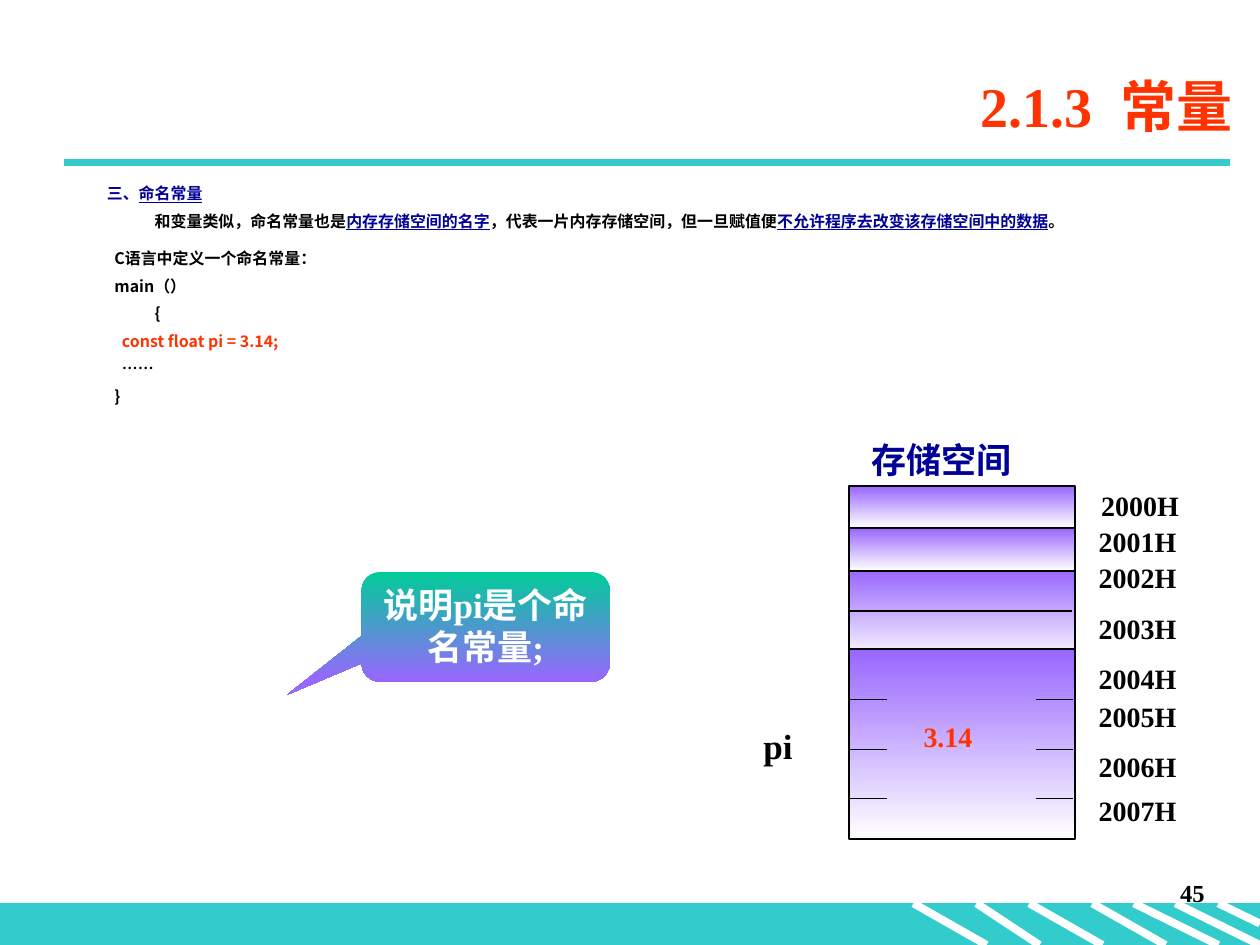
from lxml.etree import SubElement
from pptx import Presentation
from pptx.dml.color import RGBColor
from pptx.enum.shapes import MSO_CONNECTOR as CONN, MSO_SHAPE as SHAPE
from pptx.enum.text import MSO_ANCHOR as ANCHOR, PP_ALIGN as ALIGN
from pptx.oxml.ns import qn
from pptx.util import Inches, Pt

rgb = RGBColor.from_string
SERIF, SANS = "Times New Roman", "Noto Sans CJK SC"
TEAL, NAVY, RED = "33CCCC", "000099", "FF3300"
BLACK, WHITE, VIOLET, GREEN = "000000", "FFFFFF", "9966FF", "00CC99"

prs = Presentation()
prs.slide_width, prs.slide_height = Inches(10), Inches(7.5)
U = prs.slide_width // 100  # grid of 100 columns by 75 rows
s = prs.slides.add_slide(prs.slide_layouts[6])


def line(x1, y1, x2, y2, color, width):
    c = s.shapes.add_connector(CONN.STRAIGHT, *(int(v * U) for v in (x1, y1, x2, y2)))
    c.line.color.rgb = rgb(color)
    c.line.width = Pt(width)
    SubElement(c._element.spPr, qn("a:effectLst"))


def write(p, text, size, color, font=SERIF, underline=None):
    """Add one bold run to paragraph p."""
    r = p.add_run()
    r.text = text
    r.font.color.rgb = rgb(color)
    for name, value in dict(name=font, size=Pt(size), bold=True, underline=underline).items():
        setattr(r.font, name, value)
    SubElement(r._r.get_or_add_rPr(), qn("a:ea"), typeface=SANS)


# Footer band with slanted stripes, and the rule under the title
band = s.shapes.add_shape(SHAPE.RECTANGLE, 0, int(71.7 * U), 100 * U, int(3.3 * U))
band.shadow.inherit = False
band.fill.solid()
band.fill.fore_color.rgb = band.line.color.rgb = rgb(TEAL)
band.line.width = Pt(0.75)
for x1, x2, y2 in [(72.5, 78.3, 75), (77.5, 82.5, 75), (81.7, 87.5, 75), (86.7, 92.5, 75),
                   (90, 96.7, 75), (93.3, 100, 75), (96.7, 100, 73.3)]:
    line(x1, 71.7, x2, y2, WHITE, 4.5)
line(5.1, 12.9, 97.6, 12.9, TEAL, 4.5)

# Body: left indent in columns, space before in points, runs of (text, colour, underline)
body = [
    (0, 0, [("三、", NAVY, None), ("命名常量", NAVY, True)]),
    (3.8, 7, [("和变量类似，命名常量也是", BLACK, None),
              ("内存存储空间的名字", NAVY, True),
              ("，代表一片内存存储空间，但一旦赋值便", BLACK, None),
              ("不允许程序去改变该存储空间中的数据", NAVY, True),
              ("。", BLACK, None)]),
    (0.6, 12.6, [("C语言中定义一个命名常量：", BLACK, None)]),
    (0.6, 7, [("main（）", BLACK, None)]),
    (3.8, 7, [("{", BLACK, None)]),
    (1.2, 7, [("const float pi = 3.14;", RED, None)]),
    (1.2, 7, [("……", BLACK, None)]),
    (0.6, 7, [("}", BLACK, None)]),
]
tf = s.shapes.add_textbox(int(7.5 * U), int(14.4 * U), 85 * U, int(20.7 * U)).text_frame
tf.word_wrap = True
for i, (indent, before, runs) in enumerate(body):
    p = tf.paragraphs[0] if i == 0 else tf.add_paragraph()
    for name, value in dict(alignment=ALIGN.JUSTIFY, line_spacing=0.8,
                            space_before=Pt(before)).items():
        setattr(p, name, value)
    p._p.get_or_add_pPr().set("marL", str(int(indent * U)))
    for text, color, underline in runs:
        write(p, text, 9.1, color, SANS, underline)

# Memory cells and callout: kind, left, top, width, height, gradient, outlined
callout = None
for kind, x, y, w, h, start, end, outlined in [
        (SHAPE.RECTANGLE, 67.4, 38.6, 17.9, 3.3, VIOLET, WHITE, True),
        (SHAPE.RECTANGLE, 67.4, 41.9, 17.9, 3.4, VIOLET, WHITE, True),
        (SHAPE.RECTANGLE, 67.4, 45.3, 17.9, 7.2, VIOLET, WHITE, True),
        (SHAPE.RECTANGLE, 67.4, 51.5, 17.9, 15.1, VIOLET, WHITE, True),
        (SHAPE.ROUNDED_RECTANGULAR_CALLOUT, 28.7, 45.4, 19.7, 8.7, GREEN, VIOLET, False)]:
    sp = s.shapes.add_shape(kind, *(int(v * U) for v in (x, y, w, h)))
    sp.shadow.inherit = False
    sp.fill.gradient()
    sp.fill.gradient_angle = 270
    for stop, position, color in zip(sp.fill.gradient_stops, (0, 1), (start, end)):
        stop.position, stop.color.rgb = position, rgb(color)
    if outlined:
        sp.line.color.rgb = rgb(BLACK)
        sp.line.width = Pt(1.25)
    else:
        sp.line.fill.background()
        callout = sp

for i, value in enumerate((-0.8, 0.62, 0.167)):
    callout.adjustments[i] = value
tf = callout.text_frame
tf.word_wrap, tf.vertical_anchor = True, ANCHOR.TOP
tf.paragraphs[0].alignment = ALIGN.CENTER
write(tf.paragraphs[0], "说明pi是个命名常量;", 20, WHITE)

# Byte dividers: one full, then ticks at both edges
line(67.4, 48.5, 85.1, 48.5, BLACK, 0.75)
for y in (55.5, 59.5, 63.4):
    for x in (67.4, 82.2):
        line(x, y, x + 3, y, BLACK, 0.75)

# Single-line labels: left, top, width, height, text, size, colour, alignment, inset, anchor
L, R, TOP, MID = ALIGN.LEFT, ALIGN.RIGHT, ANCHOR.TOP, ANCHOR.MIDDLE
labels = [
    (13.8, 4.4, 85, 7.9, "2.1.3  常量", 32, RED, R, True, MID),
    (75.8, 69.2, 20.8, 5, "45", 14, BLACK, R, True, TOP),
    (68.2, 34.3, 24.5, 4.4, "存储空间", 20, NAVY, L, True, TOP),
    (60.6, 57.5, 4, 3.3, "pi", 20, BLACK, L, False, TOP),
    (73.3, 57.1, 5, 2.7, "3.14", 16, RED, L, False, TOP),
]
for i, y in enumerate((38.8, 41.6, 44.5, 48.5, 52.5, 55.5, 59.5, 63)):
    x = 87.2 if i else 87.4
    labels.append((x, y, 8, 2.7, f"{2000 + i}H", 16, BLACK, L, False, TOP))
for x, y, w, h, text, size, color, align, inset, anchor in labels:
    tf = s.shapes.add_textbox(*(int(v * U) for v in (x, y, w, h))).text_frame
    tf.word_wrap, tf.vertical_anchor = True, anchor
    if not inset:
        for side in ("left", "top", "right", "bottom"):
            setattr(tf, f"margin_{side}", 0)
    tf.paragraphs[0].alignment = align
    write(tf.paragraphs[0], text, size, color)

prs.save("out.pptx")
